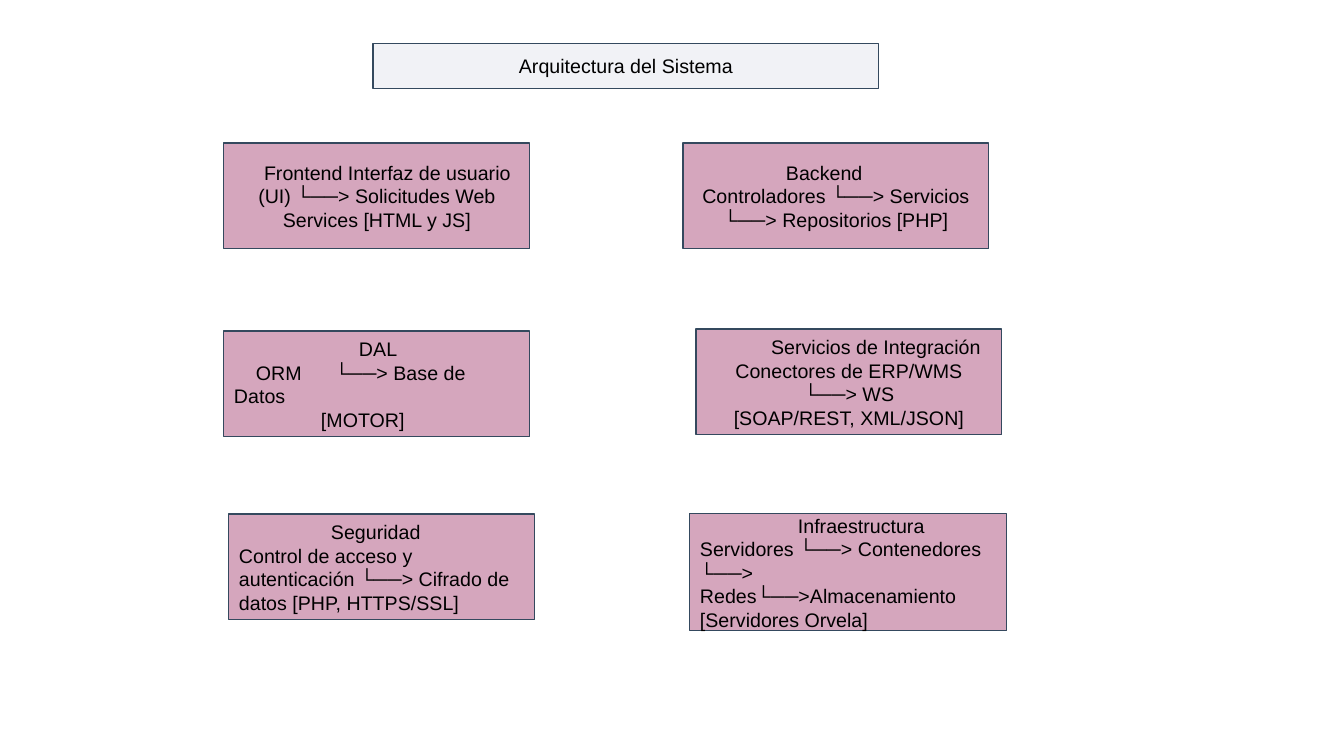
import pptx
import pptx.dml.color
import pptx.enum.shapes
import pptx.enum.text
import pptx.util
from dataclasses import dataclass
from lxml import etree

EMU_PER_PX = 914400 / 100.8
LEFT = pptx.enum.text.PP_ALIGN.LEFT
CENTER = pptx.enum.text.PP_ALIGN.CENTER
DRAWING = "{http://schemas.openxmlformats.org/drawingml/2006/main}"


@dataclass(frozen=True)
class Theme:
    title_fill: str = "F1F2F6"
    box_fill: str = "D5A6BD"
    border: str = "34495E"
    ink: str = "000000"
    font: str = "Arial"
    size: int = 14
    border_width: float = 0.75
    inset: int = 10


def px(length):
    return pptx.util.Emu(round(length * EMU_PER_PX))


def color(value):
    return pptx.dml.color.RGBColor.from_string(value)


def write(paragraph, text, *, theme, align=LEFT, indent=0, tab=None):
    """Fill a paragraph; indent applies to its first line."""
    paragraph.text = text
    paragraph.alignment = align
    properties = paragraph._p.get_or_add_pPr()
    properties.set("marL", "0")
    properties.set("indent", str(px(indent)))
    if tab is not None:
        tabs = etree.SubElement(properties, DRAWING + "tabLst")
        etree.SubElement(tabs, DRAWING + "tab", pos=str(px(tab)), algn="l")
    for run in paragraph.runs:
        run.font.name = theme.font
        run.font.size = pptx.util.Pt(theme.size)
        run.font.color.rgb = color(theme.ink)


class SlideBuilder:
    def __init__(self, presentation, theme):
        self.theme = theme
        self.slide = presentation.slides.add_slide(presentation.slide_layouts[5])

    def style(self, shape, fill, paragraphs):
        theme = self.theme
        shape.fill.solid()
        shape.fill.fore_color.rgb = color(fill)
        shape.line.color.rgb = color(theme.border)
        shape.line.width = pptx.util.Pt(theme.border_width)
        frame = shape.text_frame
        frame.word_wrap = True
        frame.auto_size = pptx.enum.text.MSO_AUTO_SIZE.NONE
        frame.vertical_anchor = pptx.enum.text.MSO_ANCHOR.MIDDLE
        frame.margin_left = frame.margin_right = px(theme.inset)
        frame.margin_top = frame.margin_bottom = px(theme.inset)
        for index, (text, options) in enumerate(paragraphs):
            paragraph = frame.add_paragraph() if index else frame.paragraphs[0]
            write(paragraph, text, theme=theme, **options)

    def title(self, text, left, top, width, height):
        shape = self.slide.shapes.title
        shape.left, shape.top = px(left), px(top)
        shape.width, shape.height = px(width), px(height)
        self.style(shape, self.theme.title_fill, [(text, {"align": CENTER})])

    def box(self, paragraphs, left, top, width=306, height=106):
        shape = self.slide.shapes.add_shape(
            pptx.enum.shapes.MSO_SHAPE.RECTANGLE,
            px(left), px(top), px(width), px(height))
        shape.shadow.inherit = False
        self.style(shape, self.theme.box_fill, paragraphs)


def main():
    presentation = pptx.Presentation()
    presentation.slide_width = px(1344)
    presentation.slide_height = px(756)
    builder = SlideBuilder(presentation, Theme())
    centered = {"align": CENTER}

    builder.title("Arquitectura del Sistema", 373, 43, 506, 46)

    # Presentation and application layers
    builder.box([
        ("Frontend Interfaz de usuario (UI) └──> Solicitudes Web Services [HTML y JS]",
         {"align": CENTER, "indent": 21}),
    ], 224, 143)
    builder.box([
        ("Backend", {"indent": 93}),
        ("Controladores └──> Servicios └──> Repositorios [PHP]", centered),
    ], 683, 143)

    # Data and integration layers
    builder.box([
        ("DAL", {"indent": 125}),
        ("ORM\t└──> Base de Datos", {"indent": 22, "tab": 86}),
        ("[MOTOR]", {"indent": 87}),
    ], 224, 331)
    builder.box([
        ("Servicios de Integración", {"align": CENTER, "indent": 54}),
        ("Conectores de ERP/WMS", centered),
        ("└──> WS", centered),
        ("[SOAP/REST, XML/JSON]", centered),
    ], 696, 329)

    # Security and infrastructure
    builder.box([
        ("Seguridad", {"indent": 92}),
        ("Control de acceso y autenticación └──> Cifrado de datos [PHP, HTTPS/SSL]", {}),
    ], 229, 514)
    builder.box([
        ("Infraestructura", {"indent": 98}),
        ("Servidores └──> Contenedores └──> Redes└──>Almacenamiento [Servidores Orvela]", {}),
    ], 690, 514, 317, 117)

    presentation.save("out.pptx")


if __name__ == "__main__":
    main()
